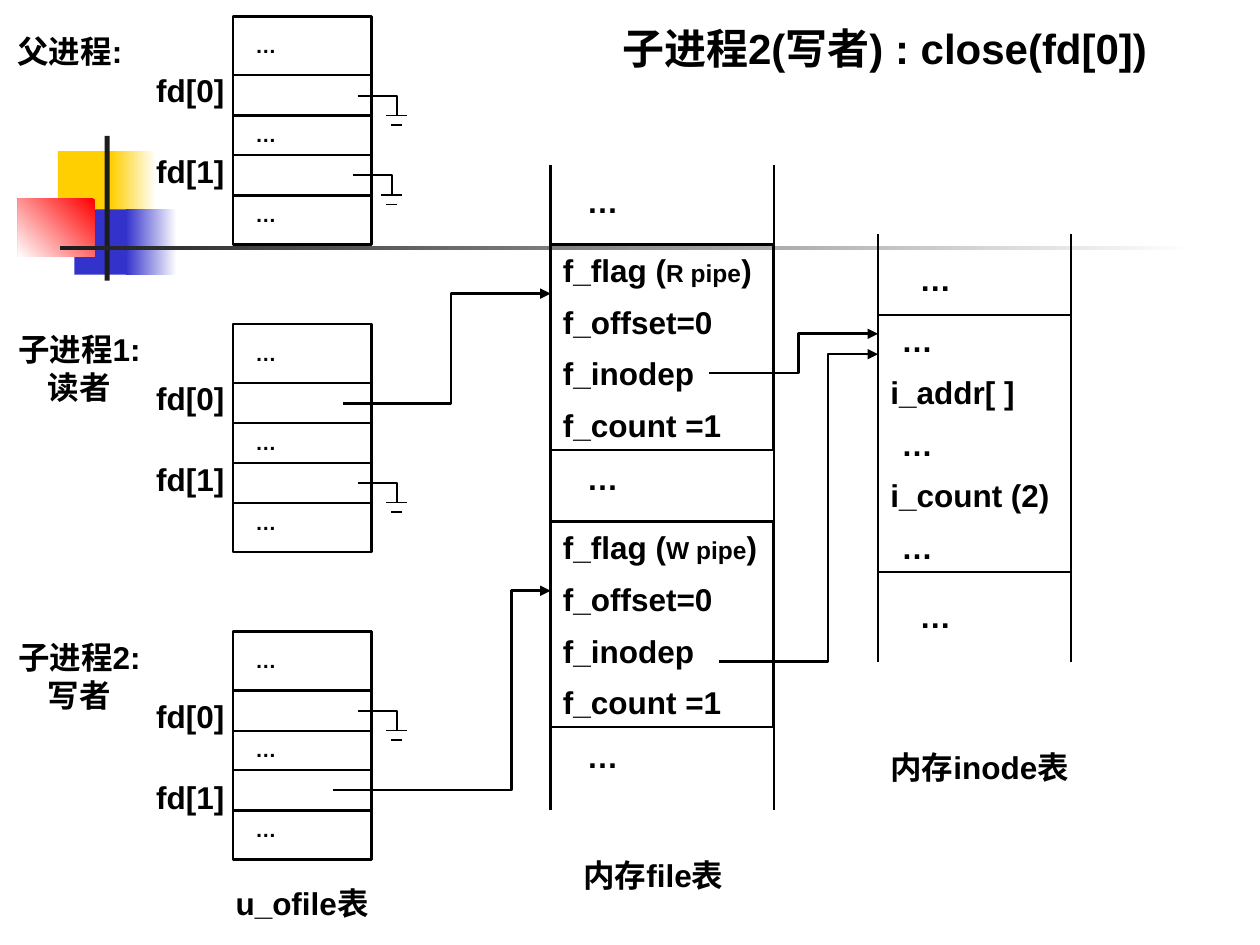
import pptx
import pptx.dml.color
import pptx.enum.dml
import pptx.enum.shapes
import pptx.enum.text
import pptx.oxml
import pptx.util
from pptx.util import Cm

BLACK = pptx.dml.color.RGBColor(0x00, 0x00, 0x00)
WHITE = pptx.dml.color.RGBColor(0xFF, 0xFF, 0xFF)
YELLOW = pptx.dml.color.RGBColor(0xFF, 0xCF, 0x01)
BLUE = pptx.dml.color.RGBColor(0x33, 0x33, 0xCC)
RED = pptx.dml.color.RGBColor(0xFF, 0x00, 0x00)
DARK = pptx.dml.color.RGBColor(0x1C, 0x1C, 0x1C)
RECT = pptx.enum.shapes.MSO_SHAPE.RECTANGLE
STRAIGHT = pptx.enum.shapes.MSO_CONNECTOR.STRAIGHT
LEFT = pptx.enum.text.PP_ALIGN.LEFT
CENTER = pptx.enum.text.PP_ALIGN.CENTER
NS = 'xmlns:a="http://schemas.openxmlformats.org/drawingml/2006/main"'
FRAME = {
    "word_wrap": True,
    "auto_size": pptx.enum.text.MSO_AUTO_SIZE.NONE,
    "vertical_anchor": pptx.enum.text.MSO_ANCHOR.TOP,
    "margin_left": Cm(0.25), "margin_right": Cm(0.25),
    "margin_top": Cm(0.13), "margin_bottom": Cm(0.13),
}
FONT = {"name": "Arial", "bold": True}


def write(s, paragraphs, size=18, align=LEFT, gap=0):
    """Fill a shape; a paragraph is a string or a list of (text, size) runs."""
    tf = s.text_frame
    for key, value in FRAME.items():
        setattr(tf, key, value)
    for i, runs in enumerate(paragraphs):
        p = tf.add_paragraph() if i else tf.paragraphs[0]
        p.alignment = align
        p.space_before = pptx.util.Pt(gap if i else 0)
        for text, points in [(runs, size)] if isinstance(runs, str) else runs:
            r = p.add_run()
            r.text = text
            r.font.size = pptx.util.Pt(points)
            r.font.color.rgb = BLACK
            for key, value in FONT.items():
                setattr(r.font, key, value)


def add_frame(x, y, w, h):
    """Add an unfilled rectangle with a black outline."""
    s = slide.shapes.add_shape(RECT, Cm(x), Cm(y), Cm(w), Cm(h))
    s.shadow.inherit = False
    s.fill.background()
    s.line.color.rgb = BLACK
    s.line.width = pptx.util.Pt(1.5)
    return s


prs = pptx.Presentation()
prs.slide_width, prs.slide_height = Cm(25.4), Cm(19.05)
slide = prs.slides.add_slide(prs.slide_layouts[5])

# Corner ornament: place, colours, gradient angle
for x, y, w, h, colors, angle in [
    (1.17, 3.05, 1.22, 1.32, [YELLOW], 0),
    (2.24, 3.05, 0.91, 1.32, [WHITE, YELLOW], 180),
    (1.5, 4.22, 1.17, 1.32, [BLUE], 0),
    (2.54, 4.22, 1.02, 1.32, [WHITE, BLUE], 180),
    (0.36, 4.01, 1.55, 1.17, [RED, WHITE], 225),
    (2.11, 2.74, 0.1, 2.92, [DARK], 0),
    (1.22, 4.95, 22.86, 0.1, [WHITE, DARK], 180),
]:
    s = slide.shapes.add_shape(RECT, Cm(x), Cm(y), Cm(w), Cm(h))
    s.shadow.inherit = False
    s.line.fill.background()
    if len(colors) == 1:
        s.fill.solid()
        s.fill.fore_color.rgb = colors[0]
    else:
        s.fill.gradient()
        s.fill.gradient_angle = angle
        for stop, color in zip(s.fill.gradient_stops, colors):
            stop.color.rgb = color

title = slide.shapes.title
title.left, title.top, title.width, title.height = Cm(12.29), Cm(0.33), Cm(12.19), Cm(1.27)
write(title, ["子进程2(写者) : close(fd[0])"], size=24)

# Text boxes: x, y, w, h, paragraphs, size, alignment
texts = [
    (0.1, 0.51, 2.79, 1.02, ["父进程:"], 18, LEFT),
    (0.1, 6.53, 3, 2.54, ["子进程1:", "读者"], 18, CENTER),
    (0.1, 12.73, 3, 2.54, ["子进程2:", "写者"], 18, CENTER),
    (4.5, 17.7, 3.61, 1.02, ["u_ofile表"], 18, LEFT),
    (11.51, 17.12, 3.61, 1.78, ["内存file表"], 18, LEFT),
    (17.7, 14.94, 4.19, 1.78, ["内存inode表"], 18, LEFT),
]
texts += [(11.58, y, 2.62, 1.02, ["…"], 18, LEFT) for y in (3.53, 9.12, 14.73)]
texts += [(18.29, y, 2.39, 1.02, ["…"], 18, LEFT) for y in (5.11, 11.91)]

# Straight lines: x1, y1, x2, y2, width; first the sides of the two system tables
lines = [(x, 3.33, x, 16.33, 1.5) for x in (11.1, 15.6)]
lines += [(x, 4.72, x, 13.34, 1.5) for x in (17.7, 21.59)]

# Descriptor table of each process
for top, label_offset in [(0.33, 0.97), (6.53, 0.99), (12.73, 1.19)]:
    add_frame(4.7, top, 2.79, 4.6)
    lines += [(4.7, top + dy, 7.49, top + dy, 1.25) for dy in (1.19, 2, 2.8, 3.61)]
    texts += [(4.9, top + dy, 2.21, 0.76, ["…"], 12, LEFT) for dy in (0.2, 1.99, 3.61)]
    for i in range(2):
        texts.append((2.9, top + label_offset + i * 1.63, 2, 1.02, [f"fd[{i}]"], 18, LEFT))

for y, mode in [(4.93, "R"), (10.52, "W")]:
    flag = [("f_flag (", 18), (f"{mode} pipe", 14), (")", 18)]
    write(add_frame(11.1, y, 4.5, 4.14), [flag, "f_offset=0", "f_inodep", "f_count =1"], gap=7.9)

inode = add_frame(17.7, 6.35, 3.89, 5.18)
write(inode, ["…", "i_addr[ ]", "…", "i_count (2)", "…"], gap=7.9)
for p in inode.text_frame.paragraphs[::2]:
    p._p.get_or_add_pPr().set("marL", str(Cm(0.22)))

# Bent pointers: points, width, arrowhead
pointers = [
    ([(14.5, 13.34), (16.69, 13.34), (16.69, 7.14), (17.7, 7.14)], 1.5, True),
    ([(14.3, 7.52), (16.1, 7.52), (16.1, 6.73), (17.7, 6.73)], 1.5, True),
    ([(6.91, 8.13), (9.09, 8.13), (9.09, 5.92), (11.1, 5.92)], 1.5, True),
    ([(6.71, 15.93), (10.31, 15.93), (10.31, 11.91), (11.1, 11.91)], 1.5, True),
]
# Ground symbols on closed descriptors
for x, y in [(7.21, 1.93), (7.11, 3.53), (7.21, 9.73), (7.21, 14.33)]:
    pointers.append(([(x, y), (x + 0.79, y), (x + 0.79, y + 0.4)], 1.25, False))
    lines.append((x + 0.58, y + 0.4, x + 0.99, y + 0.4, 0.75))
    lines.append((x + 0.68, y + 0.59, x + 0.89, y + 0.59, 0.75))

for points, width, arrow in pointers:
    start, *rest = [(Cm(x), Cm(y)) for x, y in points]
    builder = slide.shapes.build_freeform(*start)
    builder.add_line_segments(rest, close=False)
    s = builder.convert_to_shape()
    s.shadow.inherit = False
    s.fill.background()
    s.line.color.rgb = BLACK
    s.line.width = pptx.util.Pt(width)
    if arrow:
        s.line._get_or_add_ln().append(pptx.oxml.parse_xml(f'<a:tailEnd {NS} type="triangle"/>'))

for x1, y1, x2, y2, width in lines:
    s = slide.shapes.add_connector(STRAIGHT, Cm(x1), Cm(y1), Cm(x2), Cm(y2))
    s.line.color.rgb = BLACK
    s.line.width = pptx.util.Pt(width)
    s._element.spPr.append(pptx.oxml.parse_xml(f"<a:effectLst {NS}/>"))

for x, y, w, h, paragraphs, size, align in texts:
    s = slide.shapes.add_textbox(Cm(x), Cm(y), Cm(w), Cm(h))
    write(s, paragraphs, size, align)

prs.save("out.pptx")
